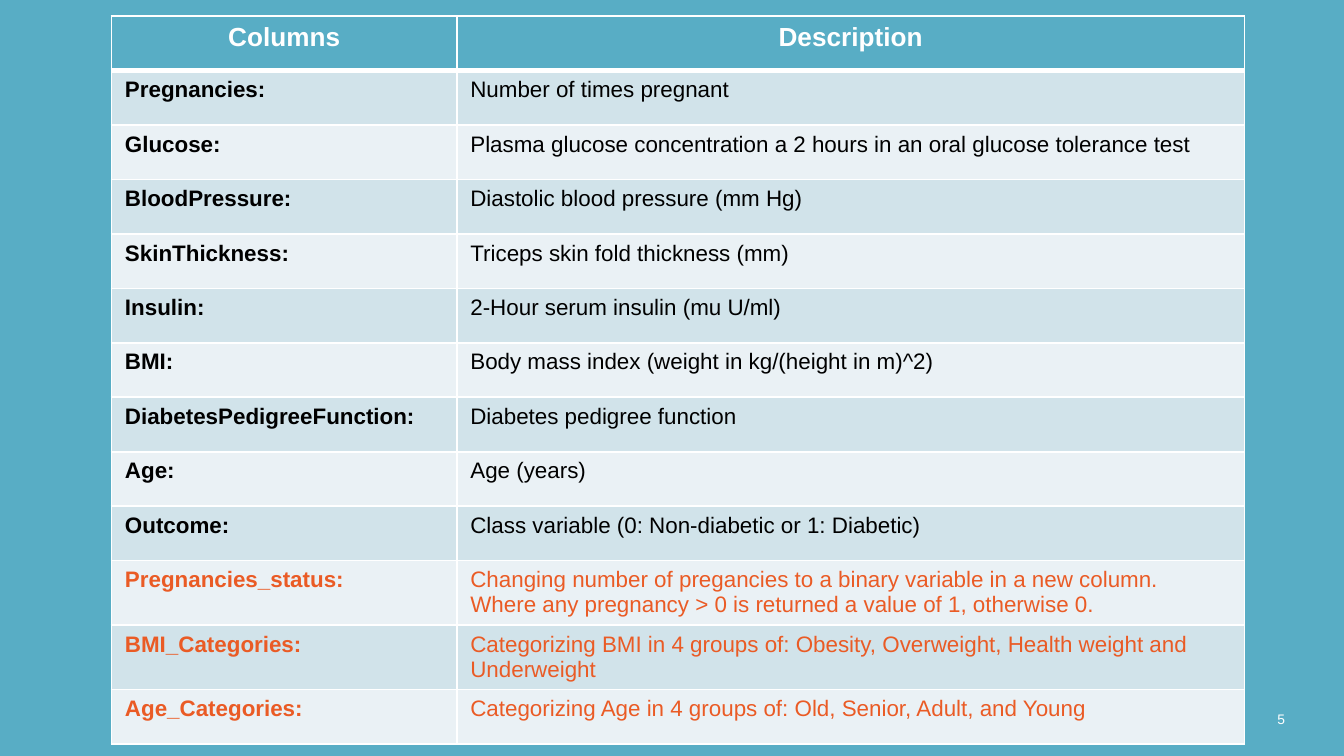
"""Build a slide with a table describing the columns of a diabetes data set."""

from typing import NamedTuple

from lxml.etree import SubElement
from pptx import Presentation
from pptx.dml.color import RGBColor
from pptx.enum.text import MSO_ANCHOR, PP_ALIGN
from pptx.oxml.ns import qn
from pptx.slide import Slide
from pptx.table import Table
from pptx.util import Inches, Pt

FONT = "Arial"
WHITE = RGBColor(0xFF, 0xFF, 0xFF)
BLACK = RGBColor(0x00, 0x00, 0x00)
TEAL = RGBColor(0x58, 0xAD, 0xC5)
ORANGE = RGBColor(0xEA, 0x5B, 0x25)
BANDS = (RGBColor(0xD1, 0xE3, 0xEA), RGBColor(0xEA, 0xF1, 0xF5))


class Column(NamedTuple):
    name: str
    description: str
    color: RGBColor = BLACK


class CellStyle(NamedTuple):
    fill: RGBColor
    color: RGBColor
    size: float
    bold: bool
    alignment: PP_ALIGN
    top: float = 1
    bottom: float = 1


COLUMNS = (
    Column("Pregnancies:", "Number of times pregnant"),
    Column("Glucose:", "Plasma glucose concentration a 2 hours in an oral glucose tolerance test"),
    Column("BloodPressure:", "Diastolic blood pressure (mm Hg)"),
    Column("SkinThickness:", "Triceps skin fold thickness (mm)"),
    Column("Insulin:", "2-Hour serum insulin (mu U/ml)"),
    Column("BMI:", "Body mass index (weight in kg/(height in m)^2)"),
    Column("DiabetesPedigreeFunction:", "Diabetes pedigree function"),
    Column("Age:", "Age (years)"),
    Column("Outcome:", "Class variable (0: Non-diabetic or 1: Diabetic)"),
    Column(
        "Pregnancies_status:",
        "Changing number of pregancies to a binary variable in a new column. "
        "Where any pregnancy > 0 is returned a value of 1, otherwise 0.",
        ORANGE,
    ),
    Column(
        "BMI_Categories:",
        "Categorizing BMI in 4 groups of: Obesity, Overweight, Health weight and Underweight",
        ORANGE,
    ),
    Column(
        "Age_Categories:",
        "Categorizing Age in 4 groups of: Old, Senior, Adult, and Young",
        ORANGE,
    ),
)


def format_paragraph(paragraph, size: float, color: RGBColor, bold: bool, alignment: PP_ALIGN) -> None:
    paragraph.alignment = alignment
    for run in paragraph.runs:
        run.font.name = FONT
        run.font.size = Pt(size)
        run.font.bold = bold
        run.font.color.rgb = color


def fill_cell(table: Table, row: int, column: int, text: str, style: CellStyle) -> None:
    cell = table.cell(row, column)
    cell.text_frame.text = text
    cell.margin_bottom = Inches(0.03)
    format_paragraph(cell.text_frame.paragraphs[0], style.size, style.color, style.bold, style.alignment)
    properties = cell._tc.get_or_add_tcPr()
    for side, width in (("L", 1), ("R", 1), ("T", style.top), ("B", style.bottom)):
        line = SubElement(properties, qn(f"a:ln{side}"), w=str(Pt(width)))
        SubElement(SubElement(line, qn("a:solidFill")), qn("a:srgbClr"), val=str(WHITE))
    cell.fill.solid()
    cell.fill.fore_color.rgb = style.fill


def add_column_table(slide: Slide) -> None:
    table = slide.shapes.add_table(
        len(COLUMNS) + 1, 2, Inches(0.83), Inches(0.12), Inches(8.43), Inches(5.27)
    ).table
    for column, width in zip(table.columns, (2.57, 5.86)):
        column.width = Inches(width)
    header = CellStyle(TEAL, WHITE, 14, True, PP_ALIGN.CENTER, bottom=3)
    for index, title in enumerate(("Columns", "Description")):
        fill_cell(table, 0, index, title, header)
    for row, entry in enumerate(COLUMNS, start=1):
        name_style = CellStyle(
            BANDS[(row - 1) % 2], entry.color, 12, True, PP_ALIGN.LEFT, top=3 if row == 1 else 1
        )
        fill_cell(table, row, 0, entry.name, name_style)
        fill_cell(table, row, 1, entry.description, name_style._replace(bold=False))


def add_slide_number(slide: Slide, number: int) -> None:
    text_frame = slide.shapes.add_textbox(Inches(9.26), Inches(5.21), Inches(0.4), Inches(0.3)).text_frame
    text_frame.word_wrap = True
    text_frame.vertical_anchor = MSO_ANCHOR.MIDDLE
    text_frame.margin_top = text_frame.margin_bottom = Inches(0.1)
    text_frame.text = str(number)
    paragraph = text_frame.paragraphs[0]
    paragraph.line_spacing = 0.8
    format_paragraph(paragraph, 7.4, WHITE, False, PP_ALIGN.RIGHT)


def main() -> None:
    presentation = Presentation()
    presentation.slide_width = Inches(10)
    presentation.slide_height = Inches(10 * 9 / 16)
    slide = presentation.slides.add_slide(presentation.slide_layouts[6])
    slide.background.fill.solid()
    slide.background.fill.fore_color.rgb = TEAL
    add_slide_number(slide, 5)
    add_column_table(slide)
    presentation.save("out.pptx")


if __name__ == "__main__":
    main()
